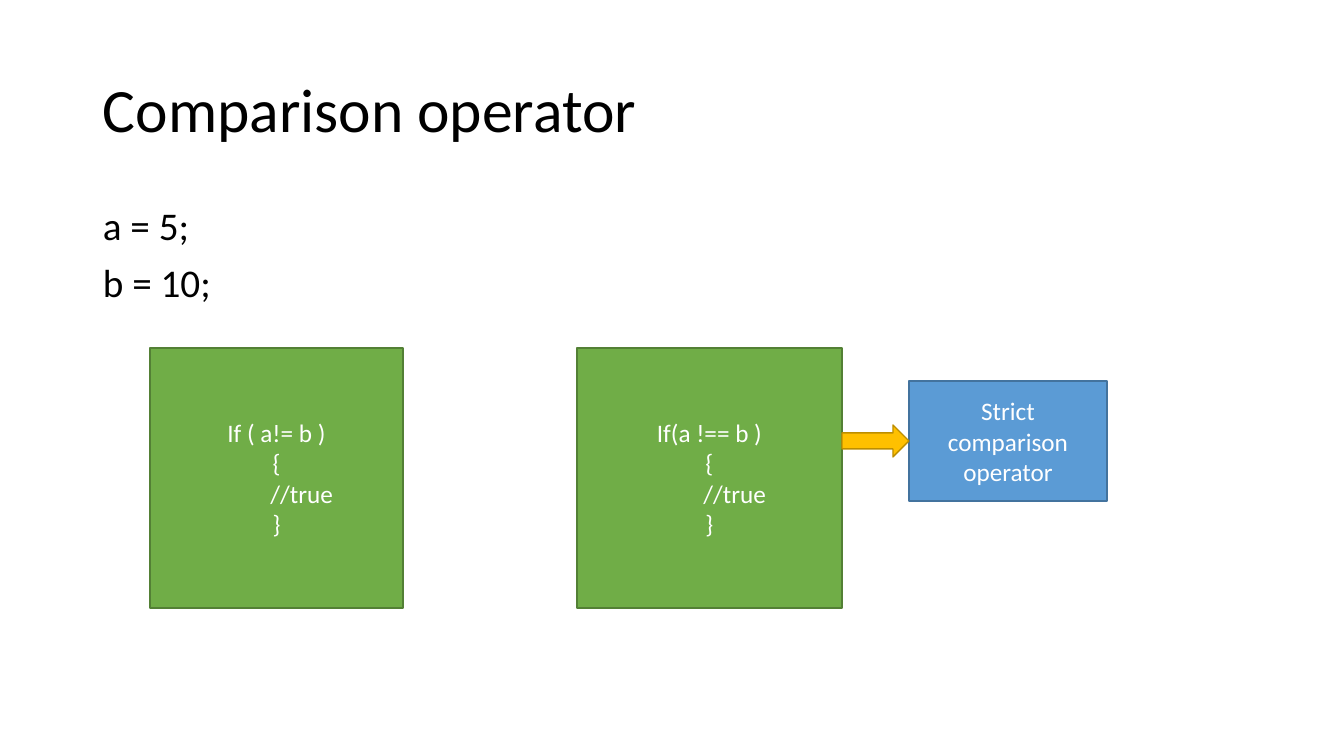
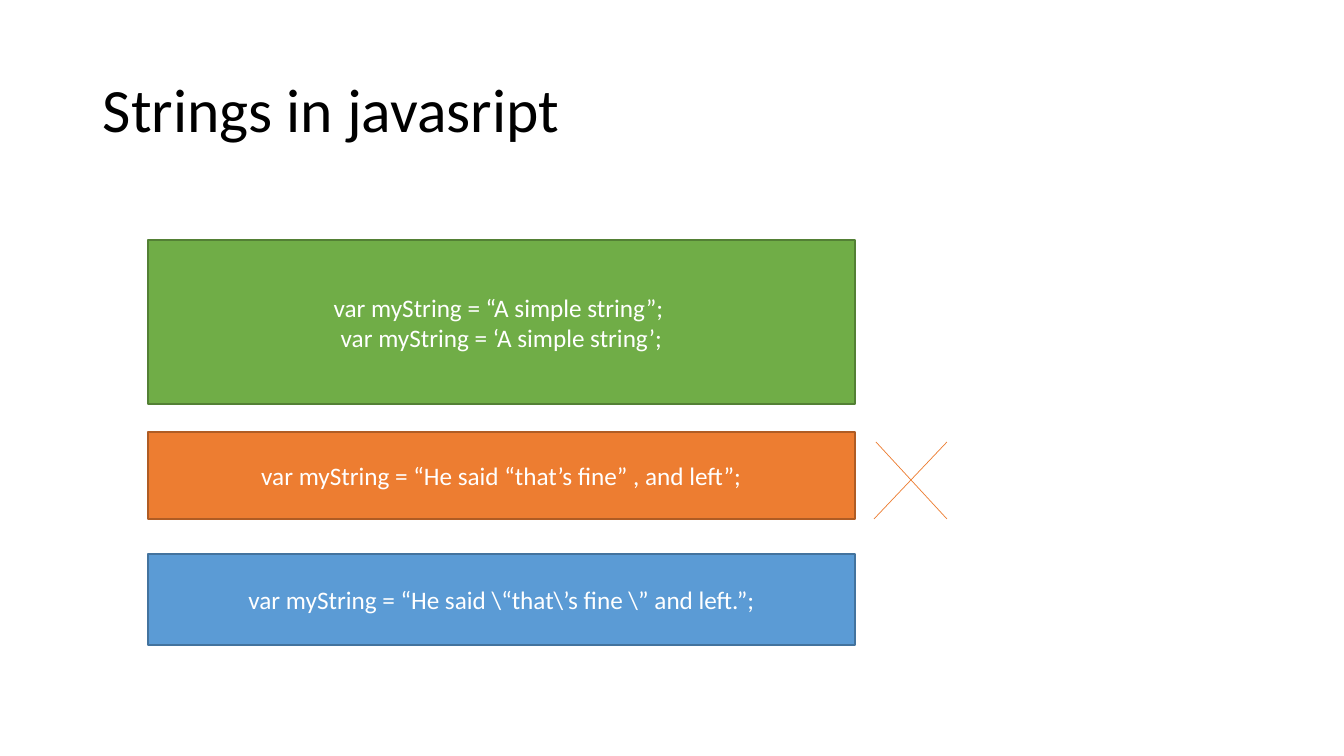
from lxml.etree import SubElement
from pptx import Presentation
from pptx.dml.color import RGBColor
from pptx.enum.shapes import MSO_CONNECTOR, MSO_SHAPE
from pptx.enum.text import MSO_ANCHOR, PP_ALIGN
from pptx.oxml.ns import qn
from pptx.util import Emu, Pt

SCALE = 914400 / 100.8
FONT = "Calibri"
BLACK = RGBColor(0x00, 0x00, 0x00)
WHITE = RGBColor(0xFF, 0xFF, 0xFF)
ORANGE_FILL = RGBColor(0xED, 0x7D, 0x31)
# Each style pairs a fill with its outline
GREEN = (RGBColor(0x70, 0xAD, 0x47), RGBColor(0x53, 0x80, 0x35))
BLUE = (RGBColor(0x5B, 0x9B, 0xD5), RGBColor(0x43, 0x73, 0x9E))
ORANGE = (ORANGE_FILL, RGBColor(0xAF, 0x5C, 0x24))
GOLD = (RGBColor(0xFF, 0xC0, 0x00), RGBColor(0xBD, 0x8E, 0x00))


def write_lines(shape, lines, size, color, anchor, align, line_spacing=1.0, space_before=0):
    """Fill a shape with one paragraph per line."""
    frame = shape.text_frame
    frame.word_wrap = True
    frame.vertical_anchor = anchor
    for index, line in enumerate(lines):
        paragraph = frame.add_paragraph() if index else frame.paragraphs[0]
        paragraph.alignment = align
        paragraph.line_spacing = line_spacing
        paragraph.space_before = Pt(space_before)
        run = paragraph.add_run()
        run.text = line
        run.font.name = FONT
        run.font.size = Pt(size)
        run.font.color.rgb = color


def add_block(slide, kind, box, style, lines=()):
    """Add an outlined block with centred white text."""
    shape = slide.shapes.add_shape(kind, *[Emu(round(value * SCALE)) for value in box])
    shape.shadow.inherit = False
    fill, outline = style
    shape.fill.solid()
    shape.fill.fore_color.rgb = fill
    shape.line.color.rgb = outline
    shape.line.width = Pt(1)
    write_lines(shape, lines, 18, WHITE, MSO_ANCHOR.MIDDLE, PP_ALIGN.CENTER)


presentation = Presentation()
presentation.slide_width = Emu(round(1344 * SCALE))
presentation.slide_height = Emu(round(756 * SCALE))

# Titles
TITLE_BOX = [Emu(round(value * SCALE)) for value in (93, 40, 1159, 146)]
slides = []
for title in ("Comparison operator", "Strings in javasript"):
    slide = presentation.slides.add_slide(presentation.slide_layouts[6])
    title_box = slide.shapes.add_textbox(*TITLE_BOX)
    write_lines(title_box, [title], 44, BLACK, MSO_ANCHOR.MIDDLE, PP_ALIGN.LEFT, 0.9)
    slides.append(slide)
comparison_slide, strings_slide = slides

# Comparison operator
body_box = [Emu(round(value * SCALE)) for value in (93, 202, 1202, 480)]
body = comparison_slide.shapes.add_textbox(*body_box)
write_lines(body, ["a = 5;", "b = 10;"], 28, BLACK, MSO_ANCHOR.TOP, PP_ALIGN.LEFT, 0.9, 10)

for left, width, condition in ((150, 253, "If ( a!= b )"), (577, 265, "If(a !== b )")):
    add_block(comparison_slide, MSO_SHAPE.RECTANGLE, (left, 348, width, 260), GREEN,
              [condition, "{", "\t//true", "}"])
add_block(comparison_slide, MSO_SHAPE.RECTANGLE, (909, 381, 198, 120), BLUE,
          ["Strict comparison operator"])
add_block(comparison_slide, MSO_SHAPE.RIGHT_ARROW, (842, 425, 67, 32), GOLD)

# Strings
string_examples = [
    (240, 164, GREEN, ["var myString = “A simple string”; ", "var myString = ‘A simple string’;"]),
    (432, 87, ORANGE, ["var myString = “He said “that’s fine” , and left”;"]),
    (554, 91, BLUE, ["var myString = “He said \\“that\\’s fine \\” and left.”;"]),
]
for top, height, style, lines in string_examples:
    add_block(strings_slide, MSO_SHAPE.RECTANGLE, (148, top, 707, height), style, lines)

# Cross beside the broken string
for ends in ((876, 442, 947, 519), (874, 519, 947, 442)):
    stroke = strings_slide.shapes.add_connector(
        MSO_CONNECTOR.STRAIGHT, *[Emu(round(value * SCALE)) for value in ends])
    stroke.line.color.rgb = ORANGE_FILL
    stroke.line.width = Pt(0.5)
    SubElement(stroke._element.spPr, qn("a:effectLst"))

presentation.save("out.pptx")
